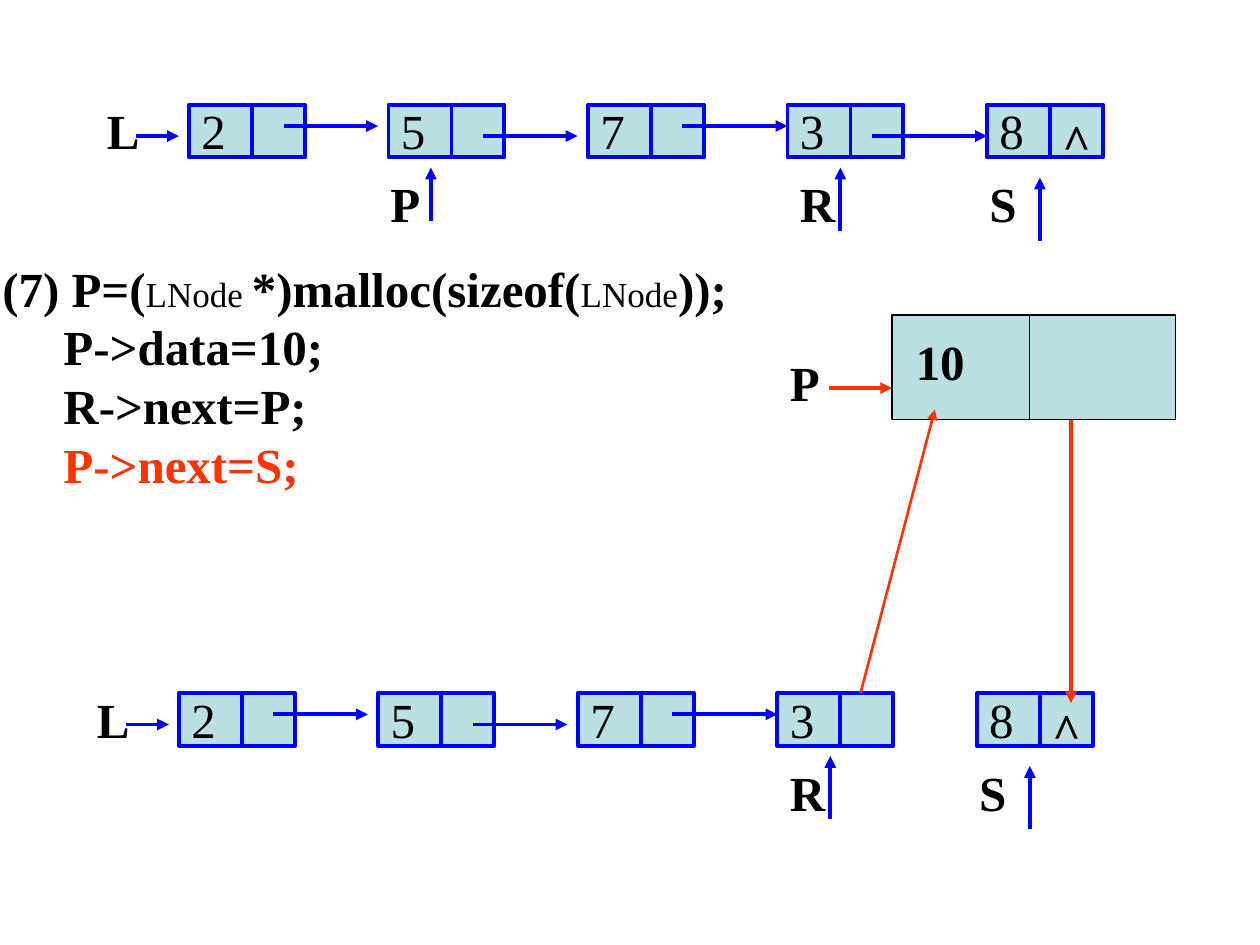
from dataclasses import dataclass

from lxml import etree
from pptx import Presentation
from pptx.dml.color import RGBColor
from pptx.enum.shapes import MSO_CONNECTOR, MSO_SHAPE
from pptx.oxml.ns import qn
from pptx.util import Inches, Pt

RECTANGLE = MSO_SHAPE.RECTANGLE
STRAIGHT = MSO_CONNECTOR.STRAIGHT


@dataclass(frozen=True)
class Theme:
    font: str = "Times New Roman"
    ink: RGBColor = RGBColor(0, 0, 0)
    blue: RGBColor = RGBColor(0x00, 0x00, 0xFF)
    red: RGBColor = RGBColor(0xFF, 0x33, 0x00)
    fill: RGBColor = RGBColor(0xBB, 0xE0, 0xE3)
    text_size: int = 28
    type_size: int = 20
    thick: float = 2.25
    medium: float = 1.5
    thin: float = 0.75


THEME = Theme()
NODE_WIDTH, NODE_HEIGHT = 0.92, 0.42
NODE_PITCH = 19 / 12
DATA_WIDTH = 0.5
LABEL_HEIGHT = 0.57
VALUES = ["2", "5", "7", "3", "8"]
LINKS = [
    (0.75, 0.17, 1.5),
    (0.75, 0.25, 1.5),
    (0.75, 0.17, NODE_PITCH),
    (0.67, 0.25, NODE_PITCH),
]
CODE_LINES = [
    [
        ("(7) P=(", False, THEME.ink),
        ("LNode ", True, THEME.ink),
        ("*)malloc(sizeof(", False, THEME.ink),
        ("LNode", True, THEME.ink),
        ("));", False, THEME.ink),
    ],
    [("     P->data=10;", False, THEME.ink)],
    [("     R->next=P;", False, THEME.ink)],
    [("     P->next=S;", False, THEME.red)],
]


def style_font(font, size=THEME.text_size, bold=True, color=THEME.ink):
    font.name = THEME.font
    font.size = Pt(size)
    font.bold = bold
    font.color.rgb = color


def add_label(shapes, text, left, top, width, bold=True):
    box = shapes.add_textbox(
        Inches(left), Inches(top), Inches(width), Inches(LABEL_HEIGHT)
    )
    box.text_frame.word_wrap = True
    box.text_frame.text = text
    style_font(box.text_frame.paragraphs[0].runs[0].font, bold=bold)


def add_box(shapes, left, top, width, height, color, weight):
    box = shapes.add_shape(
        RECTANGLE, Inches(left), Inches(top), Inches(width), Inches(height)
    )
    box.shadow.inherit = False
    box.fill.solid()
    box.fill.fore_color.rgb = THEME.fill
    box.line.color.rgb = color
    box.line.width = Pt(weight)


def add_line(shapes, start, end, color=THEME.blue, weight=THEME.thick, arrow=True):
    points = [Inches(value) for value in (*start, *end)]
    connector = shapes.add_connector(STRAIGHT, *points)
    connector.line.color.rgb = color
    connector.line.width = Pt(weight)
    properties = connector._element.spPr
    if arrow:
        outline = properties.find(qn("a:ln"))
        etree.SubElement(outline, qn("a:tailEnd"), type="triangle")
    etree.SubElement(properties, qn("a:effectLst"))


def add_node(shapes, value, left, top):
    divider = left + DATA_WIDTH
    add_box(shapes, left, top, NODE_WIDTH, NODE_HEIGHT, THEME.blue, THEME.thick)
    add_line(shapes, (divider, top), (divider, top + NODE_HEIGHT), arrow=False)
    add_label(shapes, value, left, top - 0.08, DATA_WIDTH, bold=False)


def add_pointer(shapes, name, label_left, label_top, width, tip, length):
    add_label(shapes, name, label_left, label_top, width)
    add_line(shapes, (tip[0], tip[1] + length), tip)


def add_linked_list(slide, left, top, links):
    shapes = slide.shapes.add_group_shape().shapes
    add_label(shapes, "L", left - 0.75, top - 0.08, 0.5)
    add_line(shapes, (left - 0.42, top + 0.25), (left - 0.08, top + 0.25))
    node_lefts = [left + index * NODE_PITCH for index in range(len(VALUES))]
    for value, node_left in zip(VALUES, node_lefts):
        add_node(shapes, value, node_left, top)
    for node_left, (start, drop, end) in zip(node_lefts, links):
        add_line(shapes, (node_left + start, top + drop), (node_left + end, top + drop))
    third, last = node_lefts[-2:]
    label_top = top + 0.5
    add_label(shapes, "^", last + DATA_WIDTH, top, NODE_WIDTH - DATA_WIDTH)
    add_pointer(shapes, "R", third, label_top, 0.83, (third + 0.42, label_top), 0.5)
    add_pointer(
        shapes, "S", last - 0.08, label_top, 0.75, (last + 0.42, label_top + 0.08), 0.5
    )
    return shapes


def add_code(slide):
    box = slide.shapes.add_textbox(
        Inches(-0.08), Inches(2), Inches(6.95), Inches(1.97)
    )
    frame = box.text_frame
    frame.word_wrap = True
    for index, pieces in enumerate(CODE_LINES):
        paragraph = frame.paragraphs[0] if index == 0 else frame.add_paragraph()
        properties = paragraph._p.get_or_add_pPr()
        properties.set("marL", str(Inches(0.5)))
        properties.set("indent", str(Inches(-0.5)))
        for text, is_type, color in pieces:
            run = paragraph.add_run()
            run.text = text
            size = THEME.type_size if is_type else THEME.text_size
            style_font(run.font, size, not is_type, color)


def add_new_node(slide):
    shapes = slide.shapes
    add_box(shapes, 7.08, 2.5, 2.25, 0.83, THEME.ink, THEME.thin)
    add_label(shapes, "P", 6.17, 2.75, 1.17)
    add_line(shapes, (6.58, 3.08), (7.08, 3.08), THEME.red)
    add_label(shapes, "10", 7.17, 2.58, 1)
    add_line(shapes, (8.17, 2.5), (8.17, 3.33), THEME.ink, THEME.thin, arrow=False)
    add_line(shapes, (6.83, 5.5), (7.42, 3.25), THEME.red, THEME.medium)
    add_line(shapes, (8.5, 3.33), (8.5, 5.58), THEME.red)


def main():
    presentation = Presentation()
    presentation.slide_width = Inches(10)
    presentation.slide_height = Inches(7.5)
    slide = presentation.slides.add_slide(presentation.slide_layouts[6])
    add_code(slide)
    add_linked_list(slide, 1.42, 5.5, LINKS[:3])
    add_new_node(slide)
    full_list = add_linked_list(slide, 1.5, 0.83, LINKS)
    add_pointer(full_list, "P", 3, 1.33, 1.17, (3.42, 1.33), 0.42)
    presentation.save("out.pptx")


if __name__ == "__main__":
    main()
